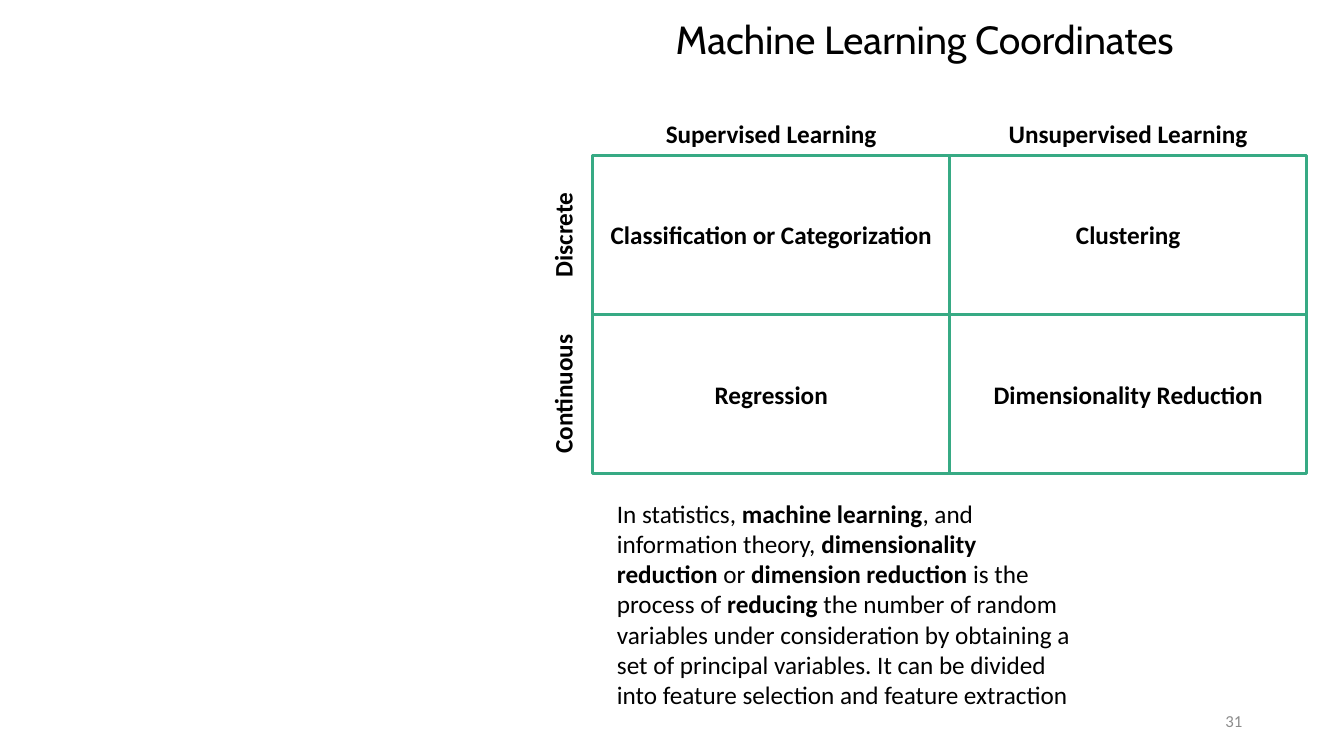
from pptx import Presentation
from pptx.dml.color import RGBColor
from pptx.enum.shapes import MSO_SHAPE
from pptx.enum.text import MSO_ANCHOR, PP_ALIGN
from pptx.util import Inches, Pt

PROCESS = MSO_SHAPE.FLOWCHART_PROCESS
TOP, MIDDLE = MSO_ANCHOR.TOP, MSO_ANCHOR.MIDDLE
LEFT, CENTER, RIGHT = PP_ALIGN.LEFT, PP_ALIGN.CENTER, PP_ALIGN.RIGHT

BLACK = RGBColor(0x00, 0x00, 0x00)
WHITE = RGBColor(0xFF, 0xFF, 0xFF)
GREEN = RGBColor(0x37, 0xAA, 0x84)
GRAY = RGBColor(0x8C, 0x8C, 0x8C)

GRID_LEFT, GRID_TOP = 5.88, 1.54
CELL_W, CELL_H = 3.54, 1.58
LABEL_H = 0.4

COLUMNS = ["Supervised Learning", "Unsupervised Learning"]
ROWS = ["Discrete", "Continuous"]
METHODS = [
    ["Classification or Categorization", "Clustering"],
    ["Regression", "Dimensionality Reduction"],
]
DEFINITION = [
    ("In statistics, ", False),
    ("machine learning", True),
    (", and information theory, ", False),
    ("dimensionality reduction ", True),
    ("or ", False),
    ("dimension reduction", True),
    (" is the process of ", False),
    ("reducing", True),
    (" the number of random variables under consideration by obtaining a set "
     "of principal variables. It can be divided into feature selection and "
     "feature extraction", False),
]


def write(sp, runs, size=18, font="Calibri", color=BLACK, align=CENTER, anchor=TOP):
    tf = sp.text_frame
    tf.word_wrap = True
    tf.vertical_anchor = anchor
    p = tf.paragraphs[0]
    p.alignment = align
    for text, bold in runs:
        r = p.add_run()
        r.text = text
        r.font.name = font
        r.font.size = Pt(size)
        r.font.bold = bold
        r.font.color.rgb = color
    return p


def add_text(s, box, runs, rotation=0, **style):
    sp = s.shapes.add_textbox(*map(Inches, box))
    sp.rotation = rotation
    return write(sp, runs, **style)


def add_cell(s, x, y, text):
    sp = s.shapes.add_shape(PROCESS, Inches(x), Inches(y), Inches(CELL_W), Inches(CELL_H))
    sp.shadow.inherit = False
    sp.fill.solid()
    sp.fill.fore_color.rgb = WHITE
    sp.line.color.rgb = GREEN
    sp.line.width = Pt(2.25)
    write(sp, [(text, True)], anchor=MIDDLE)


def add_grid(s):
    for row, methods in enumerate(METHODS):
        for col, method in enumerate(methods):
            add_cell(s, GRID_LEFT + col * CELL_W, GRID_TOP + row * CELL_H, method)
    for col, label in enumerate(COLUMNS):
        add_text(s, (GRID_LEFT + col * CELL_W, 1.12, CELL_W, LABEL_H), [(label, True)])
    for row, label in enumerate(ROWS):
        y = GRID_TOP + row * CELL_H + (CELL_H - LABEL_H) / 2
        add_text(s, (4.79, y, CELL_H, LABEL_H), [(label, True)], rotation=270)


def main():
    prs = Presentation()
    prs.slide_width, prs.slide_height = Inches(13.33), Inches(7.5)
    s = prs.slides.add_slide(prs.slide_layouts[6])
    title = add_text(s, (5.38, 0.16, 7.58, 0.61), [("Machine Learning Coordinates", False)],
                     size=28, font="Cabin")
    title.line_spacing = 0.9
    add_grid(s)
    add_text(s, (6.02, 4.89, 4.79, 2.22), DEFINITION, align=LEFT)
    add_text(s, (9.42, 6.95, 3, 0.4), [("31", False)],
             size=12, color=GRAY, align=RIGHT, anchor=MIDDLE)
    prs.save("out.pptx")


if __name__ == "__main__":
    main()
